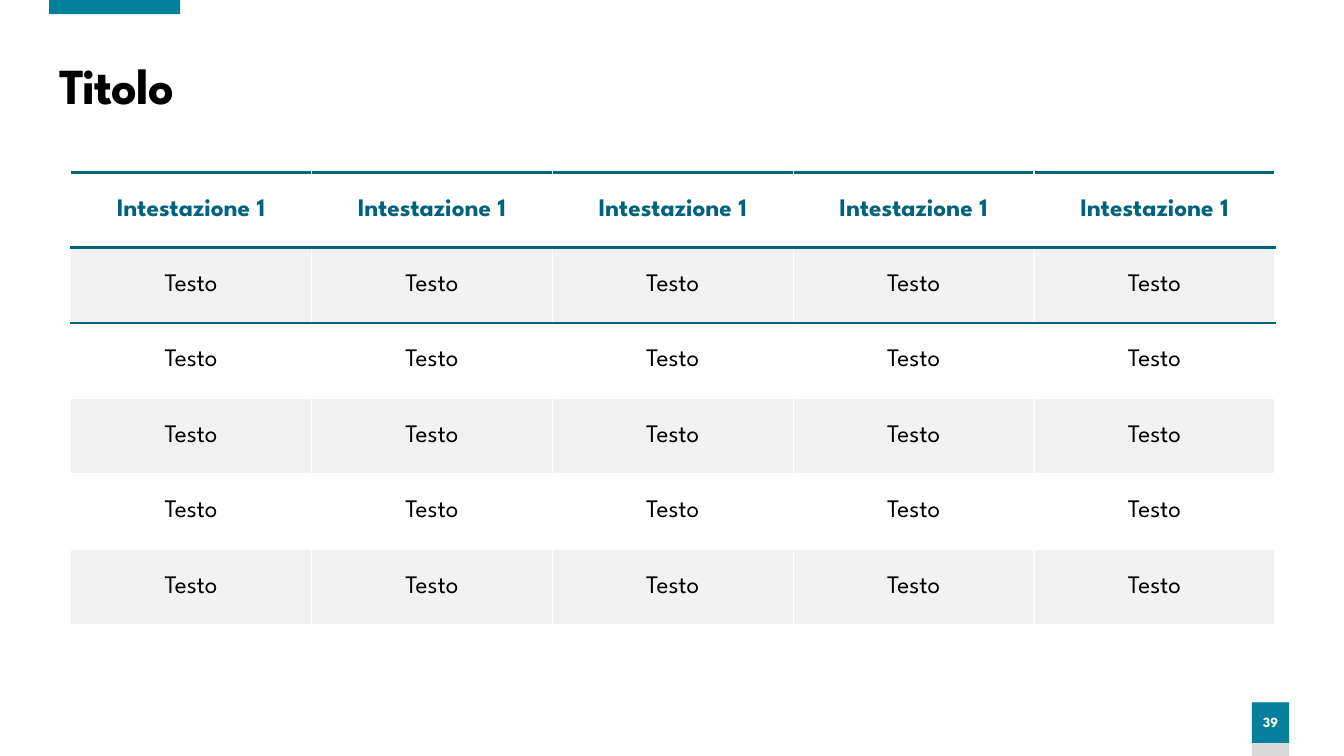
"""Build the title and table slide."""
from lxml import etree
from pptx import Presentation
from pptx.dml.color import RGBColor
from pptx.enum import shapes, text
from pptx.oxml import ns
from pptx.util import Cm, Pt

COLORS = {"accent": "067F9C", "dark": "00637E", "band": "F2F2F2",
          "gray": "D9D9D9", "white": "FFFFFF", "black": "000000"}
FONT = "League Spartan"
ROWS, COLUMNS = 6, 5
COLUMN_WIDTH, ROW_HEIGHT = 6.07, 1.9


def set_font(para, size, color, bold):
    para.font.name = FONT
    para.font.size = Pt(size)
    para.font.bold = bold
    para.font.color.rgb = RGBColor.from_string(COLORS[color])


def add_border(cell, side, color, width):
    line = etree.SubElement(cell._tc.get_or_add_tcPr(), ns.qn(f"a:ln{side}"), w=str(Pt(width)))
    fill = etree.SubElement(line, ns.qn("a:solidFill"))
    etree.SubElement(fill, ns.qn("a:srgbClr"), val=COLORS[color])


deck = Presentation()
deck.slide_width, deck.slide_height = Cm(33.87), Cm(19.05)
page = deck.slides.add_slide(deck.slide_layouts[5])

for left, top, width, height, color in [
    (31.55, 17.7, 0.94, 1.35, "gray"),
    (1.24, 0, 3.3, 0.36, "accent"),
    (31.55, 17.7, 0.94, 1.02, "accent"),
]:
    box = page.shapes.add_shape(shapes.MSO_SHAPE.RECTANGLE,
                                Cm(left), Cm(top), Cm(width), Cm(height))
    box.shadow.inherit = False
    box.fill.solid()
    box.fill.fore_color.rgb = RGBColor.from_string(COLORS[color])
    box.line.fill.background()

number = box.text_frame
number.margin_left = number.margin_right = 0
number.vertical_anchor = text.MSO_ANCHOR.MIDDLE
para = number.paragraphs[0]
para.text = "39"
para.alignment = text.PP_ALIGN.CENTER
para.line_spacing = 0.9
set_font(para, 10, "white", True)

title = page.shapes.title
title.left, title.top, title.width, title.height = Cm(1.24), Cm(1.4), Cm(31.04), Cm(1.65)
title.text_frame.vertical_anchor = text.MSO_ANCHOR.MIDDLE
title.text_frame.auto_size = text.MSO_AUTO_SIZE.NONE
para = title.text_frame.paragraphs[0]
para.text = "Titolo"
para.alignment = text.PP_ALIGN.LEFT
para.line_spacing = 0.9
set_font(para, 36, "black", True)
para.runs[0].font._element.set("spc", "-60")

table = page.shapes.add_table(ROWS, COLUMNS, Cm(1.78), Cm(4.34),
                              Cm(COLUMN_WIDTH * COLUMNS), Cm(ROW_HEIGHT * ROWS)).table
for column in table.columns:
    column.width = Cm(COLUMN_WIDTH)
for index, row in enumerate(table.rows):
    row.height = Cm(ROW_HEIGHT)
    header = index == 0
    for cell in row.cells:
        for side in "LR":
            add_border(cell, side, "white", 1)
        for side, edge in (("T", index), ("B", index + 1)):
            ruled = edge <= 2
            add_border(cell, side, "dark" if ruled else "white", 2.25 if ruled else 1)
        if index % 2:
            cell.fill.solid()
            cell.fill.fore_color.rgb = RGBColor.from_string(COLORS["band"])
        else:
            cell.fill.background()
        cell.vertical_anchor = text.MSO_ANCHOR.MIDDLE
        para = cell.text_frame.paragraphs[0]
        para.text = "Intestazione 1" if header else "Testo"
        para.alignment = text.PP_ALIGN.CENTER
        set_font(para, 18, "dark" if header else "black", header)

deck.save("out.pptx")
